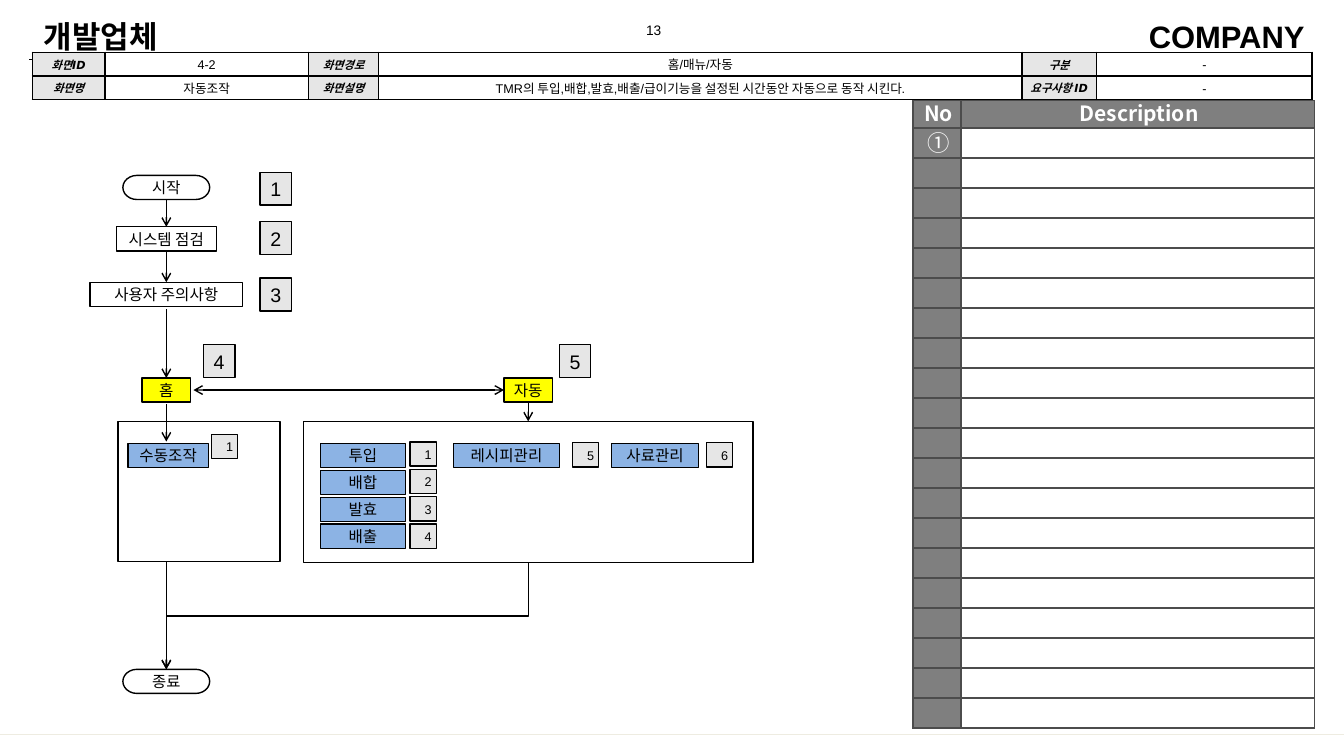
from lxml import etree
from pptx import Presentation
from pptx.dml.color import RGBColor
from pptx.enum.shapes import MSO_CONNECTOR as Link, MSO_SHAPE as Preset
from pptx.enum.text import MSO_ANCHOR as Anchor, MSO_AUTO_SIZE as AutoSize, PP_ALIGN as Align
from pptx.oxml.ns import qn
from pptx.util import Pt

BLACK = RGBColor(0x00, 0x00, 0x00)
WHITE = RGBColor(0xFF, 0xFF, 0xFF)
PALE = RGBColor(0xE6, 0xE6, 0xE6)
YELLOW = RGBColor(0xFF, 0xFF, 0x00)
BLUE = RGBColor(0x8C, 0xB3, 0xE4)
GREY = RGBColor(0x7F, 0x7F, 0x7F)
DARK_GREY = RGBColor(0x4C, 0x4C, 0x4C)
CREAM = RGBColor(0xEE, 0xEC, 0xE1)
TOP, LEFT, BOTTOM = 0, 1, 2

LABEL = {"name": "DejaVu Sans", "size": Pt(8), "bold": True, "italic": True}
VALUE = {"name": "Arial", "size": Pt(9)}
BRAND = {"name": "Arial", "size": Pt(22.1), "bold": True}
NODE = {"name": "Calibri", "size": Pt(11.1)}
TERMINAL = {"name": "Arial", "size": Pt(11)}
STEP = {"name": "Arial", "size": Pt(14)}
HEADING = {"name": "Noto Sans CJK KR", "size": Pt(15), "bold": True}
MARK = {"name": "Noto Sans CJK KR", "size": Pt(16), "bold": False}


def set_all(target, values):
    for name, value in values.items():
        setattr(target, name, value)


def margins(left, top, right=None):
    sides = {"left": left, "top": top, "right": left if right is None else right, "bottom": top}
    return {f"margin_{side}": Pt(size) for side, size in sides.items()}


def write(frame, text, font, align=Align.CENTER, color=BLACK):
    paragraph = frame.paragraphs[0]
    paragraph.alignment = align
    run = paragraph.add_run()
    run.text = text
    set_all(run.font, font)
    run.font.color.rgb = color
    return paragraph


def add_label(slide, box, text, font, align=Align.CENTER, insets=(7.2, 3.6)):
    label = slide.shapes.add_textbox(*map(Pt, box))
    set_all(label.text_frame, {"word_wrap": True, **margins(*insets)})
    write(label.text_frame, text, font, align)
    return label


def add_block(slide, box, fill, text="", font=NODE, preset=Preset.RECTANGLE,
              insets=(5.8, 1.4), anchor=Anchor.MIDDLE):
    block = slide.shapes.add_shape(preset, *map(Pt, box))
    block.shadow.inherit = False
    block.fill.solid()
    block.fill.fore_color.rgb = fill
    block.line.color.rgb = BLACK
    block.line.width = Pt(1)
    if text:
        set_all(block.text_frame, {"word_wrap": True, "vertical_anchor": anchor, **margins(*insets)})
        write(block.text_frame, text, font)
    return block


def add_line(slide, start, end, color=BLACK, width=1, ends=(), kind=Link.STRAIGHT):
    """Each end is a point, or a shape with the number of its side."""
    points = [(0, 0) if hasattr(first, "shape_id") else (first, second)
              for first, second in (start, end)]
    line = slide.shapes.add_connector(kind, *(Pt(length) for point in points for length in point))
    for place, connect in ((start, line.begin_connect), (end, line.end_connect)):
        if hasattr(place[0], "shape_id"):
            connect(*place)
    line.line.color.rgb = color
    line.line.width = Pt(width)
    for tag in ends:
        etree.SubElement(line.line._get_or_add_ln(), qn(f"a:{tag}"), type="arrow")
    etree.SubElement(line._element.spPr, qn("a:effectLst"))
    return line


def add_grid(slide, left, top, widths, heights):
    grid = slide.shapes.add_table(len(heights), len(widths), Pt(left), Pt(top),
                                  Pt(sum(widths)), Pt(sum(heights))).table
    set_all(grid, {"first_row": False, "horz_banding": False})
    for column, width in zip(grid.columns, widths):
        column.width = Pt(width)
    for row, height in zip(grid.rows, heights):
        row.height = Pt(height)
    return grid


def format_cell(cell, fill, border, left_margin=0.7):
    """Sets borders, fill and margins, and a small size for an empty cell."""
    set_all(cell, {"vertical_anchor": Anchor.MIDDLE, **margins(left_margin, 0.7, 0.7)})
    properties = cell._tc.get_or_add_tcPr()
    for side in ("lnL", "lnR", "lnT", "lnB"):
        edge = etree.SubElement(properties, qn(f"a:{side}"), w=str(Pt(1)))
        paint = etree.SubElement(edge, qn("a:solidFill"))
        etree.SubElement(paint, qn("a:srgbClr"), val=str(border))
    cell.fill.solid()
    cell.fill.fore_color.rgb = fill
    if not cell.text_frame.text:
        etree.SubElement(cell.text_frame.paragraphs[0]._p, qn("a:endParaRPr"), sz="800")


def add_page_frame(slide, width):
    add_label(slide, (12.2, 7.9, 111.6, 35.3), "개발업체", BRAND, Align.LEFT, (19.2, 4.3, 0))
    add_label(slide, (width - 149.2, 7.9, 129.6, 35.3), "COMPANY", BRAND, Align.RIGHT, (8.6, 4.3))
    add_label(slide, (430.6, 11.5, 49.7, 19.4), "13", {"name": "Arial", "size": Pt(9.8)},
              Align.RIGHT, (7.9, 4.3))
    add_line(slide, (0, 524.9), (width, 524.9), CREAM, 0.75)
    add_line(slide, (20.9, 42.5), (933.8, 42.5), BLACK, 0.75)


def add_screen_info(slide, left, top):
    widths = [52, 145.2, 50.4, 459.4, 53.3, 154]
    height = 16.85
    rows = [
        ["화면ID", "4-2", "화면경로", "홈/매뉴/자동", "구분", "-"],
        ["화면명", "자동조작", "화면설명",
         "TMR의 투입,배합,발효,배출/급이기능을 설정된 시간동안 자동으로 동작 시킨다.", "요구사항 ID", "-"],
    ]
    grid = add_grid(slide, left, top, widths, [height] * len(rows))
    screen_name = slide.shapes.title
    slide.shapes._spTree.append(screen_name._element)
    for r, row in enumerate(rows):
        for c, text in enumerate(row):
            cell = grid.cell(r, c)
            is_label = c % 2 == 0
            if is_label:
                write(cell.text_frame, text, LABEL)
            format_cell(cell, PALE if is_label else WHITE, BLACK)
            if is_label:
                continue
            box = (left + sum(widths[:c]), top + r * height, widths[c], 17.3)
            if (r, c) == (1, 1):
                set_all(screen_name, dict(zip(("left", "top", "width", "height"), map(Pt, box))))
                set_all(screen_name.text_frame, {"auto_size": AutoSize.NONE, "word_wrap": True,
                                                 "vertical_anchor": Anchor.TOP, **margins(7.2, 3.6)})
                write(screen_name.text_frame, text, VALUE)
            else:
                add_label(slide, box, text, VALUE)


def add_description_table(slide, left, top):
    texts = {(0, 0): ("No", HEADING), (0, 1): ("Description", HEADING), (1, 0): ("①", MARK)}
    heights = [19.4] + [21.45] * 20
    grid = add_grid(slide, left, top, [34.2, 252.4], heights)
    for r in range(len(heights)):
        for c in range(2):
            cell = grid.cell(r, c)
            if (r, c) in texts:
                text, font = texts[r, c]
                write(cell.text_frame, text, font, color=WHITE).line_spacing = 0.83
            format_cell(cell, GREY if r == 0 or c == 0 else WHITE, DARK_GREY, 2.9)


def add_flow(slide, left, top):
    main_axis, auto_axis = left + 54, left + 312.5
    panel_top, panel_bottom, module_top = top + 178.6, top + 279.4, top + 194.4

    def node(axis, y, width, text, fill=WHITE, **look):
        return add_block(slide, (axis - width / 2, top + y, width, 17.2), fill, text, **look)

    def arrow(start, end, ends=("tailEnd",)):
        add_line(slide, start, end, ends=ends)

    add_block(slide, (left + 19.4, panel_top, 116, 100), WHITE)
    auto_panel = add_block(slide, (left + 152, panel_top, 321, 100.8), WHITE)

    terminal = {"font": TERMINAL, "preset": Preset.FLOWCHART_TERMINATOR, "insets": (4.3, 0.7)}
    start = node(main_axis, 2.9, 62, "시작", **terminal)
    check = node(main_axis, 39.6, 71.4, "시스템 점검")
    caution = node(main_axis, 79.2, 109, "사용자 주의사항")
    home = node(main_axis, 147.6, 34.6, "홈", YELLOW)
    auto = node(auto_axis, 147.6, 34.6, "자동", YELLOW)
    finish = node(main_axis, 355.7, 62, "종료", **terminal)

    feeding = [(164.2, 19.2 * i, 60.5, text) for i, text in enumerate(["투입", "배합", "발효", "배출"])]
    others = [(26.6, 0, 57.6, "수동조작"), (259.2, 0, 75.6, "레시피관리"), (372.2, 0, 62, "사료관리")]
    for x, drop, width, text in feeding + others:
        add_block(slide, (left + x, module_top + drop, width, 17.2), BLUE, text)

    steps = [(121, 0.7, "1"), (121, 36, "2"), (121, 76.3, "3"), (80.6, 123.8, "4"), (334.8, 123.8, "5")]
    module_marks = [(228.2, 193.2 + 19.6 * i, str(i + 1)) for i in range(4)]
    module_marks += [(86.4, 187.9, "1"), (344.2, 193.7, "5"), (439.9, 193.7, "6")]
    for marks, size, font in ((steps, (22.4, 23.4), STEP), (module_marks, (18.7, 17.4), VALUE)):
        for x, y, number in marks:
            add_block(slide, (left + x, top + y, *size), PALE, number, font,
                      insets=(7.2, 3.6, 0) if font is VALUE else (3.6, 3.6), anchor=Anchor.TOP)

    arrow((start, BOTTOM), (check, TOP))
    arrow((check, BOTTOM), (caution, TOP))
    arrow((main_axis, top + 98.6), (home, TOP))
    arrow((main_axis, top + 166.3), (main_axis, top + 193))
    arrow((main_axis, panel_bottom), (finish, TOP))
    arrow((auto, LEFT), (left + 73.4, top + 156.2), ("headEnd", "tailEnd"))
    arrow((auto, BOTTOM), (auto_panel, TOP))

    across, down = auto_axis - main_axis, top + 355.7 - panel_bottom
    mid_x, mid_y = (auto_axis + main_axis) / 2, panel_bottom + down / 2
    bend = add_line(slide, (mid_x - down / 2, mid_y - across / 2),
                    (mid_x + down / 2, mid_y + across / 2), ends=("tailEnd",), kind=Link.ELBOW)
    bend._element.spPr.find(qn("a:xfrm")).set("rot", str(90 * 60000))


def main():
    deck = Presentation()
    set_all(deck, {"slide_width": Pt(960), "slide_height": Pt(540)})
    slide = deck.slides.add_slide(deck.slide_layouts[5])
    add_page_frame(slide, 960)
    add_screen_info(slide, 23, 37.4)
    add_description_table(slide, 652.2, 72)
    add_flow(slide, 64.8, 122.4)
    deck.save("out.pptx")


if __name__ == "__main__":
    main()
